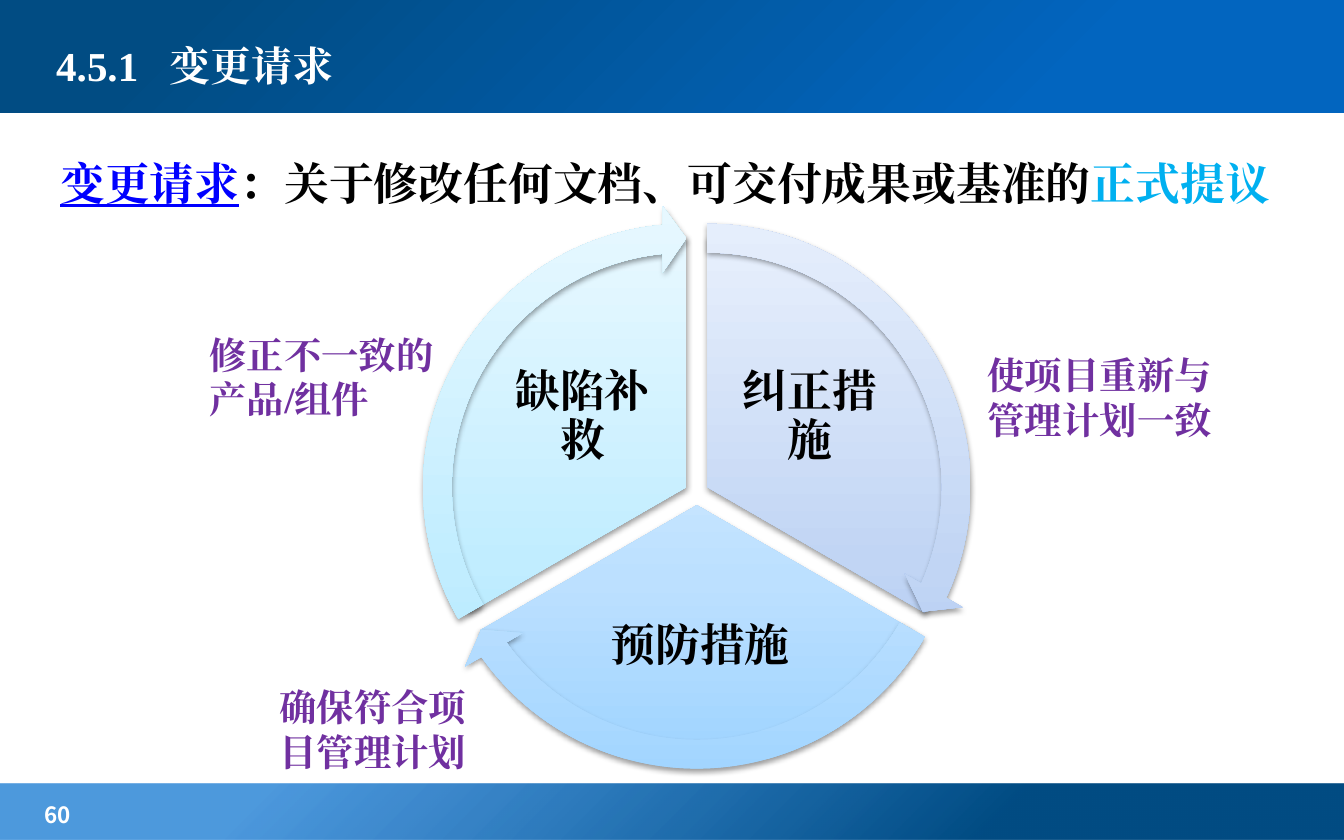
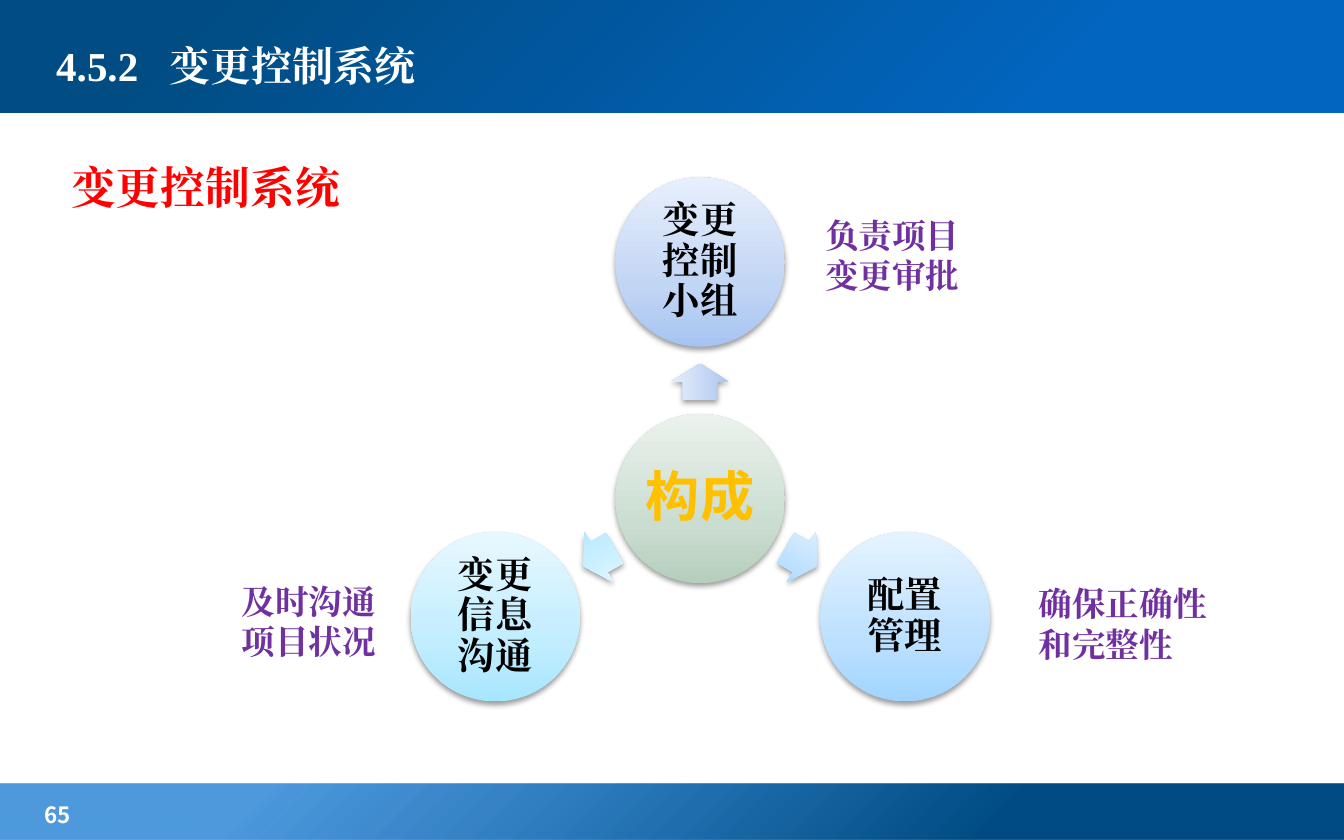
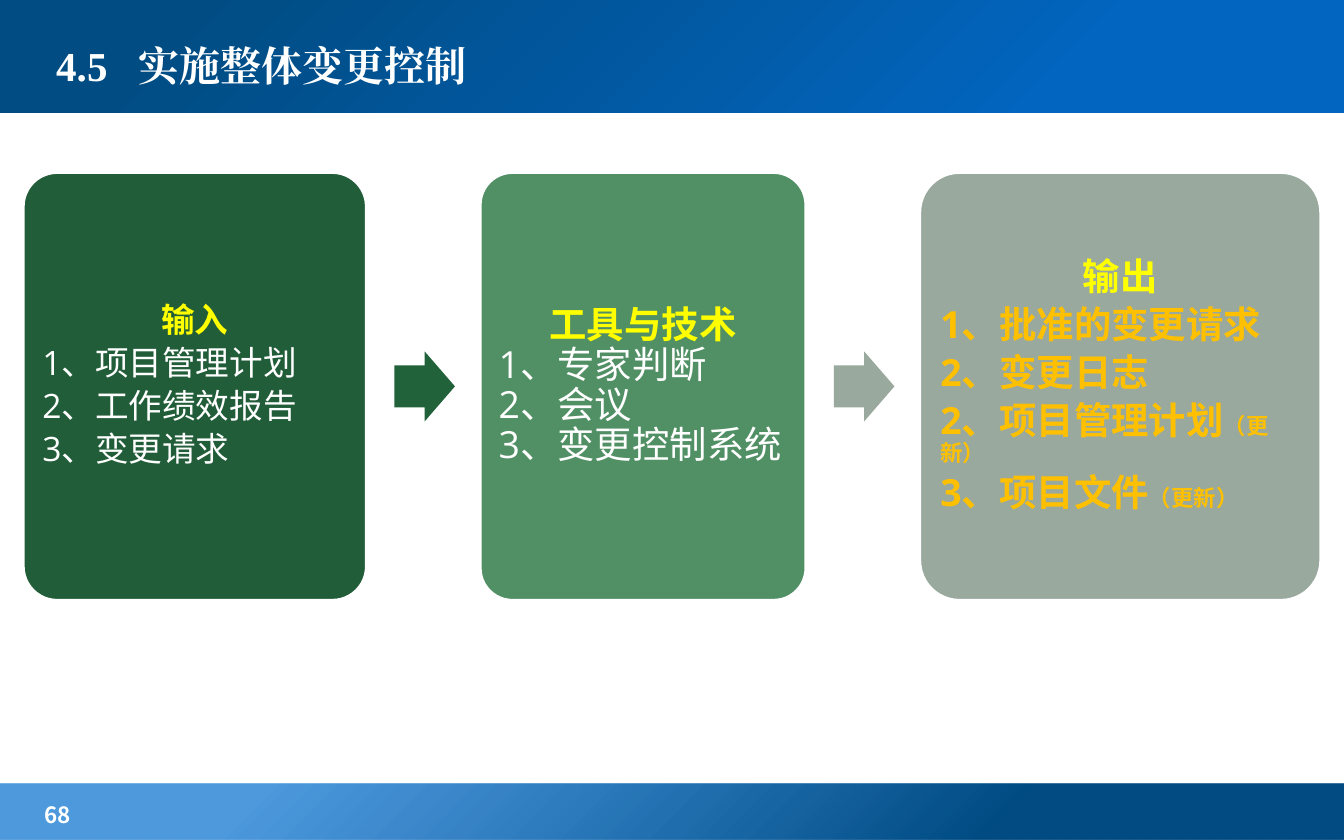
from math import cos, radians, sin

from lxml.etree import SubElement
from pptx import Presentation
from pptx.dml.color import RGBColor
from pptx.enum.shapes import MSO_SHAPE
from pptx.enum.text import MSO_ANCHOR, PP_ALIGN
from pptx.oxml.ns import qn
from pptx.util import Inches, Pt

# Shared style
SERIF, SANS, CJK = "Times New Roman", "Open Sans", "Noto Sans CJK SC"
WHITE, BLACK, PURPLE = "FFFFFF", "000000", "7030A0"
RED, BLUE, SKY, GOLD, YELLOW = "FF0000", "0000FF", "00B0F0", "FFC000", "FFFF00"
WIDE, HIGH = 10, 6.25

# Gradient stops: position in percent, colour, opacity in percent
HEAD = [(21, "0265BF", 100), (86, "014C83", 100)]
FOOT = [(26, "014C83", 100), (80, "026DCE", 70)]
INDIGO, AZURE, CYAN, SAGE = [
    [(0, low, 100), (35, mid, 100), (100, top, 100)]
    for low, mid, top in [
        ("A6C4F1", "C1D5F4", "E7EFFC"),
        ("A0D4FF", "BCE0FF", "E5F3FF"),
        ("A7E6FF", "C1EDFF", "E7F8FF"),
        ("B5CFBB", "CBDDD0", "EBF2ED"),
    ]
]

# Number, title, tab stop after the number, page
HEADS = [
    ("4.5.1", "变更请求", 0.84, 60),
    ("4.5.2", "变更控制系统", 0.84, 65),
    ("4.5", "实施整体变更控制", 0.61, 68),
]

# Slide 1
CLAIM = [
    ("变更请求", dict(color=BLUE, under=True)),
    ("：关于修改任何文档、可交付成果或基准的", {}),
    ("正式提议", dict(color=SKY)),
]
WHEEL = (5.185, 3.67)
SECTORS = [  # text, its box, gradient
    ("纠正措施", (5.36, 2.55, 1.33, 1.11), INDIGO),
    ("预防措施", (4.21, 4.32, 2, 0.98), AZURE),
    ("缺陷补救", (3.67, 2.55, 1.33, 1.11), CYAN),
]
AIMS = [
    ("使项目重新与管理计划一致", (7.25, 2.57, 2, 0.77)),
    ("确保符合项目管理计划", (1.98, 5.04, 1.78, 0.77)),
    ("修正不一致的产品/组件", (1.46, 2.42, 1.89, 0.77)),
]

# Slide 2
HUB = (5.21, 3.71)
PARTS = [
    ("变更控制小组", INDIGO),
    ("配置管理", AZURE),
    ("变更信息沟通", CYAN),
]
ROLES = [
    ("负责项目变更审批", (6.04, 1.55, 1.32, 0.71)),
    ("及时沟通项目状况", (1.7, 4.27, 1.24, 0.71)),
    ("确保正确性和完整性", (7.63, 4.29, 1.56, 0.71)),
]

# Slide 3
SMALL = ("（更新）", dict(size=12))
CARDS = [  # head, lines, width, fill, arrow fill, text format
    ("输入", ["1、项目管理计划", "2、工作绩效报告", "3、变更请求"],
     2.56, "215D38", "22623B", dict(size=18, color=WHITE, bold=False, after=0.2)),
    ("工具与技术", ["1、专家判断", "2、会议", "3、变更控制系统"],
     2.43, "519065", "99A99D", dict(size=20, color=WHITE, bold=False)),
    ("输出", ["1、批准的变更请求", "2、变更日志",
            [("2、项目管理计划", {}), SMALL], [("3、项目文件", {}), SMALL]],
     2.99, "9AA99E", None, dict(size=20, color=GOLD, after=0.2)),
]


def rgb(code):
    """Turn a hex string into a colour."""
    return RGBColor.from_string(code)


def tint(parent, code, alpha):
    """Add a colour with an opacity in percent to an XML element."""
    color = SubElement(parent, qn("a:srgbClr"), val=code)
    if alpha < 100:
        SubElement(color, qn("a:alpha"), val=str(alpha * 1000))


def shade(shape, stops, band=False):
    """Fill a shape with a gradient: upward, or from a corner for a band."""
    shape.fill.solid()
    props = shape.element.spPr
    old = props.find(qn("a:solidFill"))
    grad = SubElement(props, qn("a:gradFill"), rotWithShape="1")
    items = SubElement(grad, qn("a:gsLst"))
    for pos, code, alpha in stops:
        tint(SubElement(items, qn("a:gs"), pos=str(pos * 1000)), code, alpha)
    if band:
        way = SubElement(grad, qn("a:path"), path="circle")
        SubElement(way, qn("a:fillToRect"), l="100000", t="100000")
    else:
        SubElement(grad, qn("a:lin"), ang="16200000", scaled="0")
    props.replace(old, grad)


def lift(shape):
    """Give a shape a soft shadow below it."""
    effects = shape.element.spPr.find(qn("a:effectLst"))
    glow = SubElement(effects, qn("a:outerShdw"), blurRad=str(Pt(3.1)),
                      dist=str(Pt(1.6)), dir="5400000", rotWithShape="0")
    tint(glow, BLACK, 38)


def draw(slide, kind, box, fill, adj=(), turn=0, band=False):
    """Add a preset shape with a plain fill or a gradient."""
    shape = slide.shapes.add_shape(kind, *map(Inches, box))
    shape.shadow.inherit = False
    shape.line.fill.background()
    shape.rotation = turn
    for i, value in enumerate(adj):
        shape.adjustments[i] = value
    if isinstance(fill, str):
        shape.fill.solid()
        shape.fill.fore_color.rgb = rgb(fill)
    else:
        shade(shape, fill, band)
        if not band:
            lift(shape)
    return shape


def around(point, size):
    """Return the box of a given size centred on a point."""
    wide, high = size
    return point[0] - wide / 2, point[1] - high / 2, wide, high


def polar(point, reach, angle):
    """Return the point at a distance and clockwise angle from another."""
    turn = radians(angle)
    return point[0] + reach * cos(turn), point[1] + reach * sin(turn)


def style(run, size=20, font=SERIF, color=BLACK, bold=True, under=False):
    """Set the character format of one run."""
    face = run.font
    face.size, face.name, face.bold = Pt(size), font, bold
    face.color.rgb = rgb(color)
    if under:
        face.underline = True
    SubElement(run._r.get_or_add_rPr(), qn("a:ea"), typeface=font)


def write(para, text, center=False, space=None, after=0, **form):
    """Write a string or a list of (text, format) runs into a paragraph."""
    para.alignment = PP_ALIGN.CENTER if center else PP_ALIGN.LEFT
    if space:
        para.line_spacing = space
    para.space_after = Pt(after * form.get("size", 20))
    for piece, extra in [(text, {})] if isinstance(text, str) else text:
        run = para.add_run()
        run.text = piece
        style(run, **{**form, **extra})


def setup(shape, inset=None, middle=False):
    """Prepare the text frame of a shape and return it."""
    frame = shape.text_frame
    frame.word_wrap = True
    frame.vertical_anchor = MSO_ANCHOR.MIDDLE if middle else MSO_ANCHOR.TOP
    if inset is not None:
        frame.margin_left = frame.margin_right = Inches(inset)
        frame.margin_top = frame.margin_bottom = Inches(inset)
    return frame


def label(slide, text, box, inset=None, middle=False, **form):
    """Add a text box with one paragraph and return the paragraph."""
    shape = slide.shapes.add_textbox(*map(Inches, box))
    para = setup(shape, inset, middle).paragraphs[0]
    write(para, text, **form)
    return para


def start(deck, number, title, stop, page):
    """Add a slide with its bands, title and page number."""
    slide = deck.slides.add_slide(deck.slide_layouts[6])
    draw(slide, MSO_SHAPE.RECTANGLE, (0, 5.83, WIDE, 0.42), FOOT, band=True)
    draw(slide, MSO_SHAPE.RECTANGLE, (0, -0.03, WIDE, 0.87), HEAD, band=True)
    label(slide, str(page), (0.23, 5.91, 1.57, 0.26), size=12, font=CJK, color=WHITE)
    para = label(slide, f"{number}\t{title}", (0.32, 0.13, 7.28, 0.71),
                 middle=True, size=22, color=WHITE)
    tabs = SubElement(para._p.get_or_add_pPr(), qn("a:tabLst"))
    SubElement(tabs, qn("a:tab"), pos=str(Inches(stop)), algn="l")
    return slide


def wheel(slide):
    """Draw three sectors, then their arrows, and the notes around."""
    label(slide, CLAIM, (0.35, 0.91, 9.45, 3.9), size=24, space=1.5)
    spots = []
    for i, (text, box, fill) in enumerate(SECTORS):
        first, last = (270 + 120 * i) % 360, (30 + 120 * i) % 360
        spot = polar(WHEEL, 0.09, 330 + 120 * i)
        spots.append((spot, first, fill))
        draw(slide, MSO_SHAPE.PIE, around(spot, (3.73, 3.73)), fill,
             (first * 0.6, last * 0.6))
        label(slide, text, box, inset=0.03, middle=True, center=True,
              size=24, space=0.9)
    for spot, first, fill in spots:
        tip = (first + 114.54) % 360
        draw(slide, MSO_SHAPE.CIRCULAR_ARROW, around(spot, (4.2, 4.2)), fill,
             (0.051, 3.275, tip * 0.6, first * 0.6, 0.059))
    for text, box in AIMS:
        label(slide, text, box, color=PURPLE)


def disc(slide, spot, fill, text, **form):
    """Draw a circle with its text."""
    shape = draw(slide, MSO_SHAPE.OVAL, around(spot, (1.26, 1.26)), fill)
    para = setup(shape, 0.03, True).paragraphs[0]
    write(para, text, center=True, space=0.9, **form)


def star(slide):
    """Draw the hub, the three parts around it and their roles."""
    label(slide, "变更控制系统", (0.43, 0.94, 9.21, 3.9), size=24, color=RED, space=1.5)
    disc(slide, HUB, SAGE, "构成", size=29, font=SANS, color=GOLD)
    for i, (text, fill) in enumerate(PARTS):
        angle = (270 + 120 * i) % 360
        draw(slide, MSO_SHAPE.RIGHT_ARROW,
             around(polar(HUB, 0.87, angle), (0.27, 0.43)), fill, (0.6, 0.5), angle)
        disc(slide, polar(HUB, 1.76, angle), fill, text)
    for text, box in ROLES:
        label(slide, text, box, size=18, color=PURPLE)


def flow(slide):
    """Draw the cards from left to right with arrows in the gaps."""
    left, top, high, gap = 0.17, 1.28, 3.19, 0.84
    for head, lines, wide, fill, arrow, form in CARDS:
        card = draw(slide, MSO_SHAPE.ROUNDED_RECTANGLE, (left, top, wide, high),
                    fill, (0.1,))
        card.line.color.rgb = rgb(WHITE)
        card.line.width = Pt(2)
        frame = setup(card, 0.07, True)
        base = dict(form, font=SANS, space=0.9)
        write(frame.paragraphs[0], head, center=True,
              **{**base, "color": YELLOW, "bold": True})
        for line in lines:
            write(frame.add_paragraph(), line, **base)
        left += wide + gap
        if arrow:
            spot = (left - gap / 2 + 0.01, top + high / 2)
            draw(slide, MSO_SHAPE.RIGHT_ARROW, around(spot, (0.45, 0.52)),
                 arrow, (0.6, 0.5))


def main():
    """Build the deck and save it."""
    deck = Presentation()
    deck.slide_width, deck.slide_height = Inches(WIDE), Inches(HIGH)
    for head, body in zip(HEADS, (wheel, star, flow)):
        body(start(deck, *head))
    deck.save("out.pptx")


main()
